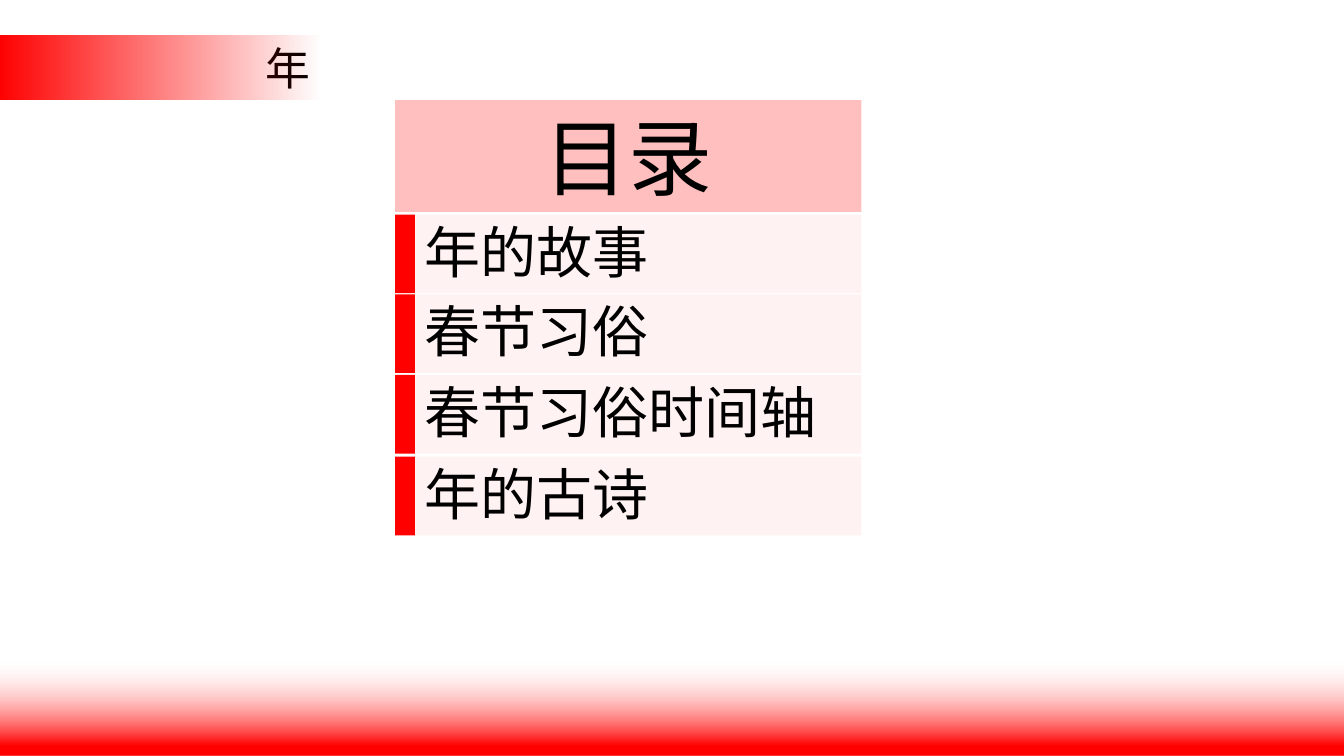
from lxml.etree import SubElement
from pptx import Presentation
from pptx.dml.color import RGBColor
from pptx.enum.shapes import MSO_SHAPE
from pptx.enum.text import MSO_ANCHOR, MSO_AUTO_SIZE, PP_ALIGN
from pptx.oxml.ns import qn
from pptx.util import Cm, Pt

RED = "FF0000"
WHITE = "FFFFFF"
BLACK = "000000"
CJK_FONT = "Noto Sans CJK SC"

LIST_LEFT = 9.96
LIST_WIDTH = 11.75
MARKER_WIDTH = 0.5
ROW_HEIGHT = 1.98
ENTRIES = [
    ("年的故事", 5.41),
    ("春节习俗", 7.42),
    ("春节习俗时间轴", 9.45),
    ("年的古诗", 11.51),
]


def rgb(color):
    return RGBColor.from_string(color)


def fill_solid(shape, color, opacity=100):
    shape.fill.solid()
    shape.fill.fore_color.rgb = rgb(color)
    if opacity < 100:
        color_element = shape.fill._xPr.find(qn("a:solidFill"))[0]
        SubElement(color_element, qn("a:alpha"), val=str(opacity * 1000))


def fill_gradient(shape, stops, angle):
    """Fill with (position, color, opacity) stops; the angle runs clockwise."""
    shape.fill.gradient()
    gradient = shape.fill._xPr.find(qn("a:gradFill"))
    for child in list(gradient):
        gradient.remove(child)
    stop_list = SubElement(gradient, qn("a:gsLst"))
    for position, color, opacity in stops:
        stop = SubElement(stop_list, qn("a:gs"), pos=str(position * 1000))
        color_element = SubElement(stop, qn("a:srgbClr"), val=color)
        SubElement(color_element, qn("a:alpha"), val=str(opacity * 1000))
    SubElement(gradient, qn("a:lin"), ang=str(angle * 60000), scaled="0")


def add_rectangle(slide, left, top, width, height):
    shape = slide.shapes.add_shape(
        MSO_SHAPE.RECTANGLE, Cm(left), Cm(top), Cm(width), Cm(height))
    shape.shadow.inherit = False
    shape.line.fill.background()
    return shape


def write_text(shape, text, size, font, alignment):
    frame = shape.text_frame
    frame.word_wrap = True
    frame.auto_size = MSO_AUTO_SIZE.NONE
    frame.vertical_anchor = MSO_ANCHOR.MIDDLE
    paragraph = frame.paragraphs[0]
    paragraph.alignment = alignment
    run = paragraph.add_run()
    run.text = text
    run.font.size = Pt(size)
    run.font.name = font
    run.font.color.rgb = rgb(BLACK)
    SubElement(run.font._element, qn("a:ea"), typeface=font)


def add_text(slide, left, top, width, height, text, size, font, alignment):
    box = slide.shapes.add_textbox(Cm(left), Cm(top), Cm(width), Cm(height))
    write_text(box, text, size, font, alignment)


def add_title(slide, text):
    title = slide.shapes.title
    title.left, title.top = Cm(LIST_LEFT), Cm(2.52)
    title.width, title.height = Cm(LIST_WIDTH), Cm(2.82)
    fill_solid(title, RED, 25)
    write_text(title, text, 60, CJK_FONT, PP_ALIGN.CENTER)


def add_entry(slide, text, top):
    text_left = LIST_LEFT + MARKER_WIDTH
    text_width = LIST_WIDTH - MARKER_WIDTH
    band = add_rectangle(slide, text_left, top, text_width, ROW_HEIGHT)
    fill_solid(band, RED, 5)
    marker = add_rectangle(slide, LIST_LEFT, top, MARKER_WIDTH, ROW_HEIGHT)
    fill_solid(marker, RED)
    add_text(slide, text_left, top - 0.07, text_width, 1.96,
             text, 40, "Arial", PP_ALIGN.LEFT)


def main():
    presentation = Presentation()
    presentation.slide_width = Cm(33.87)
    presentation.slide_height = Cm(19.05)
    slide = presentation.slides.add_slide(presentation.slide_layouts[5])

    add_text(slide, 0, 0.89, 8.08, 1.63, "年", 32, CJK_FONT, PP_ALIGN.RIGHT)
    tag = add_rectangle(slide, 0, 0.89, 8.1, 1.63)
    fill_gradient(tag, [(0, RED, 100), (100, RED, 0)], 0)
    footer = add_rectangle(slide, 0, 16.56, 33.87, 2.49)
    fill_gradient(footer, [(10, RED, 100), (100, WHITE, 0)], 270)

    add_title(slide, "目录")
    for text, top in ENTRIES:
        add_entry(slide, text, top)

    presentation.save("out.pptx")


if __name__ == "__main__":
    main()
